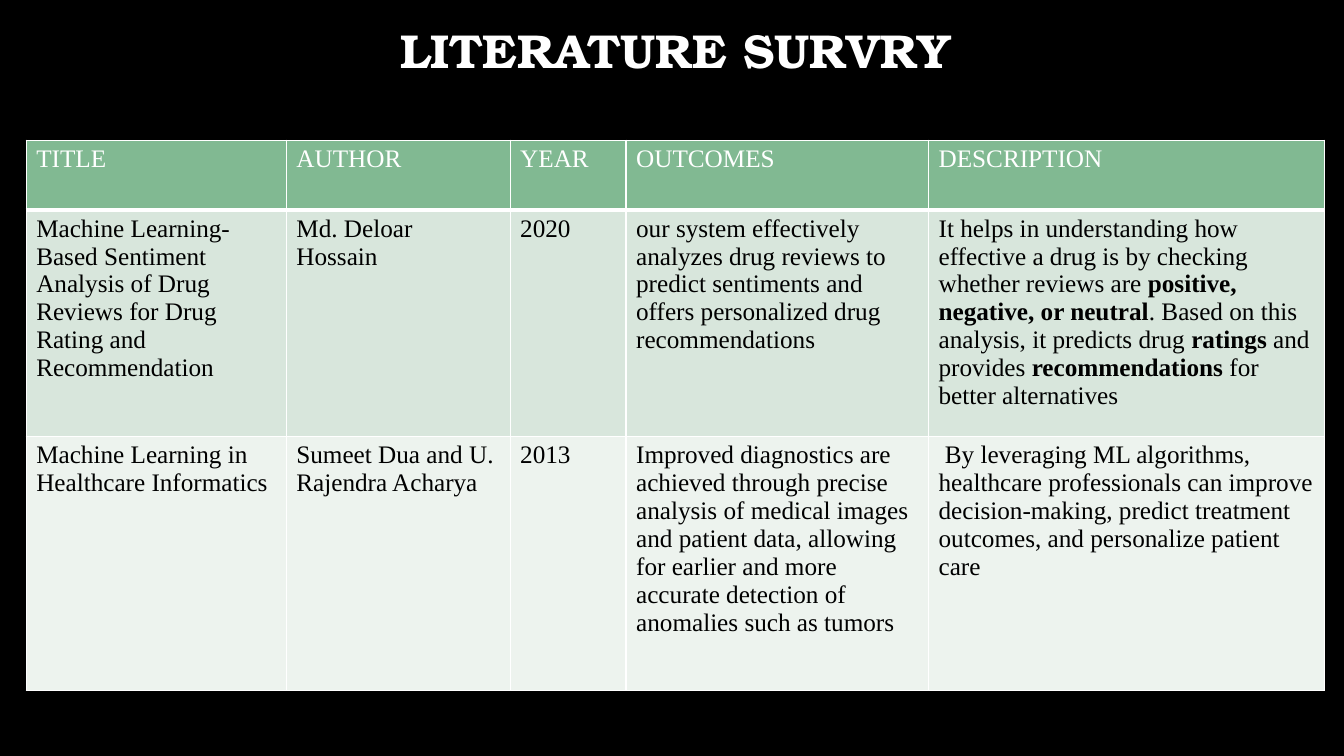
from dataclasses import dataclass

from lxml.etree import SubElement
from pptx import Presentation
from pptx.dml.color import RGBColor
from pptx.enum.text import MSO_ANCHOR, PP_ALIGN
from pptx.oxml.ns import qn
from pptx.util import Inches, Pt

# Content: each cell is a string, or a list of (text, bold) runs
HEADING = "LITERATURE SURVRY"
COLUMNS = ["TITLE", "AUTHOR", "YEAR", "OUTCOMES", "DESCRIPTION"]
PAPERS = [
    [
        "Machine Learning-Based Sentiment Analysis of Drug Reviews for Drug Rating and Recommendation",
        "Md. Deloar Hossain",
        "2020",
        "our system effectively analyzes drug reviews to predict sentiments and offers "
        "personalized drug recommendations",
        [
            ("It helps in understanding how effective a drug is by checking whether reviews are ", False),
            ("positive, negative, or neutral", True),
            (". Based on this analysis, it predicts drug ", False),
            ("ratings", True),
            (" and provides ", False),
            ("recommendations", True),
            (" for better alternatives", False),
        ],
    ],
    [
        "Machine Learning in Healthcare Informatics",
        "Sumeet Dua and U. Rajendra Acharya",
        "2013",
        "Improved diagnostics are achieved through precise analysis of medical images and patient "
        "data, allowing for earlier and more accurate detection of anomalies such as tumors",
        " By leveraging ML algorithms, healthcare professionals can improve decision-making, "
        "predict treatment outcomes, and personalize patient care",
    ],
]

# Layout in inches
SLIDE_WIDTH, SLIDE_HEIGHT = 13.33, 7.5
HEADING_BOX = (1.02, 0.19, 11.36, 1.22)
TABLE_LEFT, TABLE_TOP = 0.26, 1.39
COLUMN_WIDTHS = [2.58, 2.22, 1.15, 3, 3.93]
ROW_HEIGHTS = [0.69, 2.25, 2.52]


@dataclass(frozen=True)
class Theme:
    background: str = "000000"
    light: str = "FFFFFF"
    dark: str = "000000"
    header_fill: str = "81B992"
    bands: tuple = ("D8E6DC", "EDF3EE")
    heading_font: str = "TeX Gyre Bonum"
    body_font: str = "Times New Roman"
    heading_size: int = 34
    body_size: int = 18
    rule: int = 1
    header_rule: int = 3


THEME = Theme()


def write(frame, text, *, font, size, color, bold=False, align=PP_ALIGN.LEFT, spacing=1.0):
    """Fill a text frame's first paragraph with formatted runs."""
    frame.word_wrap = True
    paragraph = frame.paragraphs[0]
    paragraph.alignment, paragraph.line_spacing = align, spacing
    for words, strong in [(text, bold)] if isinstance(text, str) else text:
        run = paragraph.add_run()
        run.text = words
        run.font.name, run.font.size, run.font.bold = font, Pt(size), strong
        run.font.color.rgb = RGBColor.from_string(color)


def add_borders(cell, bottom):
    properties = cell._tc.get_or_add_tcPr()
    widths = {"lnL": THEME.rule, "lnR": THEME.rule, "lnT": THEME.rule, "lnB": bottom}
    for position, (side, width) in enumerate(widths.items()):
        line = SubElement(properties, qn(f"a:{side}"), w=str(Pt(width)))
        fill = SubElement(line, qn("a:solidFill"))
        SubElement(fill, qn("a:srgbClr"), val=THEME.light)
        properties.insert(position, line)  # borders come before the cell fill


def add_heading(slide):
    frame = slide.shapes.add_textbox(*map(Inches, HEADING_BOX)).text_frame
    frame.vertical_anchor = MSO_ANCHOR.TOP
    frame.margin_top = Inches(0.08)
    write(frame, HEADING, font=THEME.heading_font, size=THEME.heading_size,
          color=THEME.light, bold=True, align=PP_ALIGN.CENTER, spacing=0.9)


def add_survey(slide):
    rows = [COLUMNS, *PAPERS]
    table = slide.shapes.add_table(
        len(rows), len(COLUMNS), Inches(TABLE_LEFT), Inches(TABLE_TOP),
        Inches(sum(COLUMN_WIDTHS)), Inches(sum(ROW_HEIGHTS))).table
    for column, width in zip(table.columns, COLUMN_WIDTHS):
        column.width = Inches(width)
    for row, height in zip(table.rows, ROW_HEIGHTS):
        row.height = Inches(height)

    for r, entries in enumerate(rows):
        header = r == 0
        fill = THEME.header_fill if header else THEME.bands[(r - 1) % 2]
        for c, entry in enumerate(entries):
            cell = table.cell(r, c)
            cell.fill.solid()
            cell.fill.fore_color.rgb = RGBColor.from_string(fill)
            add_borders(cell, THEME.header_rule if header else THEME.rule)
            write(cell.text_frame, entry, font=THEME.body_font, size=THEME.body_size,
                  color=THEME.light if header else THEME.dark)


def main():
    deck = Presentation()
    deck.slide_width, deck.slide_height = Inches(SLIDE_WIDTH), Inches(SLIDE_HEIGHT)
    slide = deck.slides.add_slide(deck.slide_layouts[6])
    slide.background.fill.solid()
    slide.background.fill.fore_color.rgb = RGBColor.from_string(THEME.background)
    add_heading(slide)
    add_survey(slide)
    deck.save("out.pptx")


if __name__ == "__main__":
    main()
